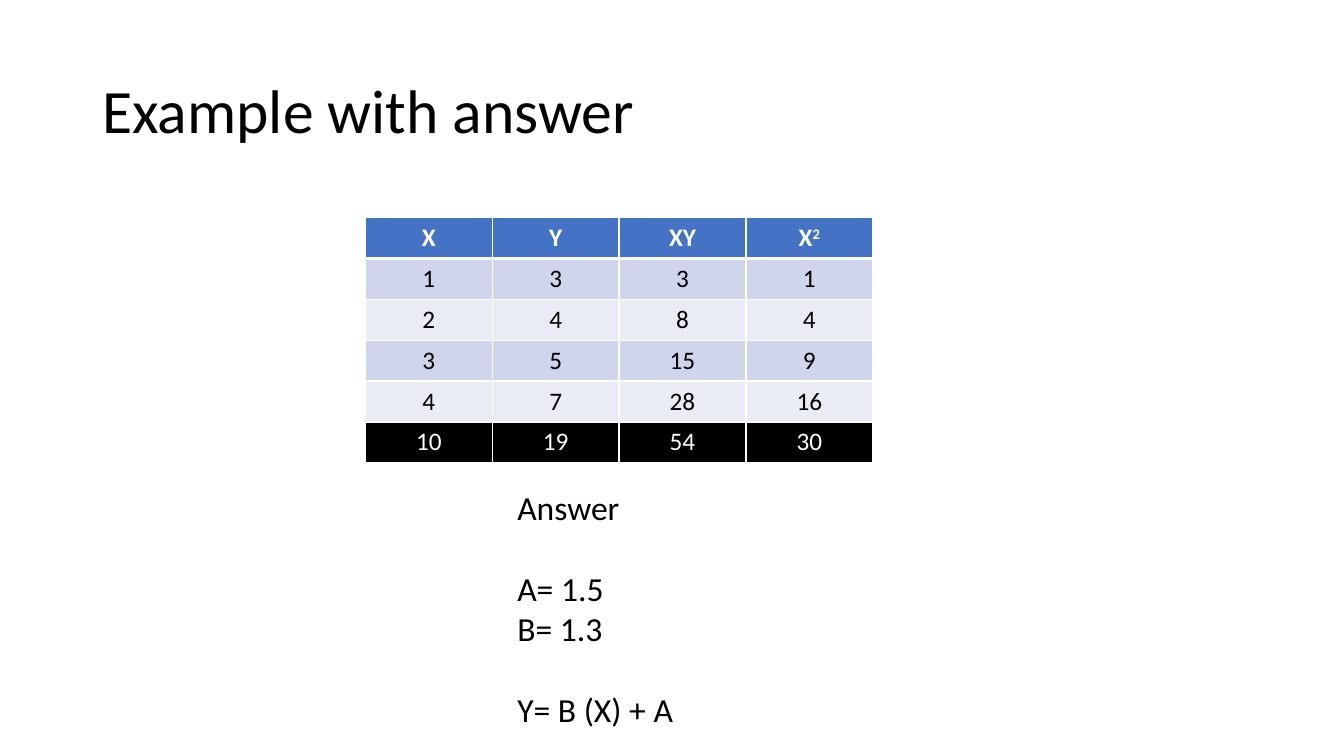
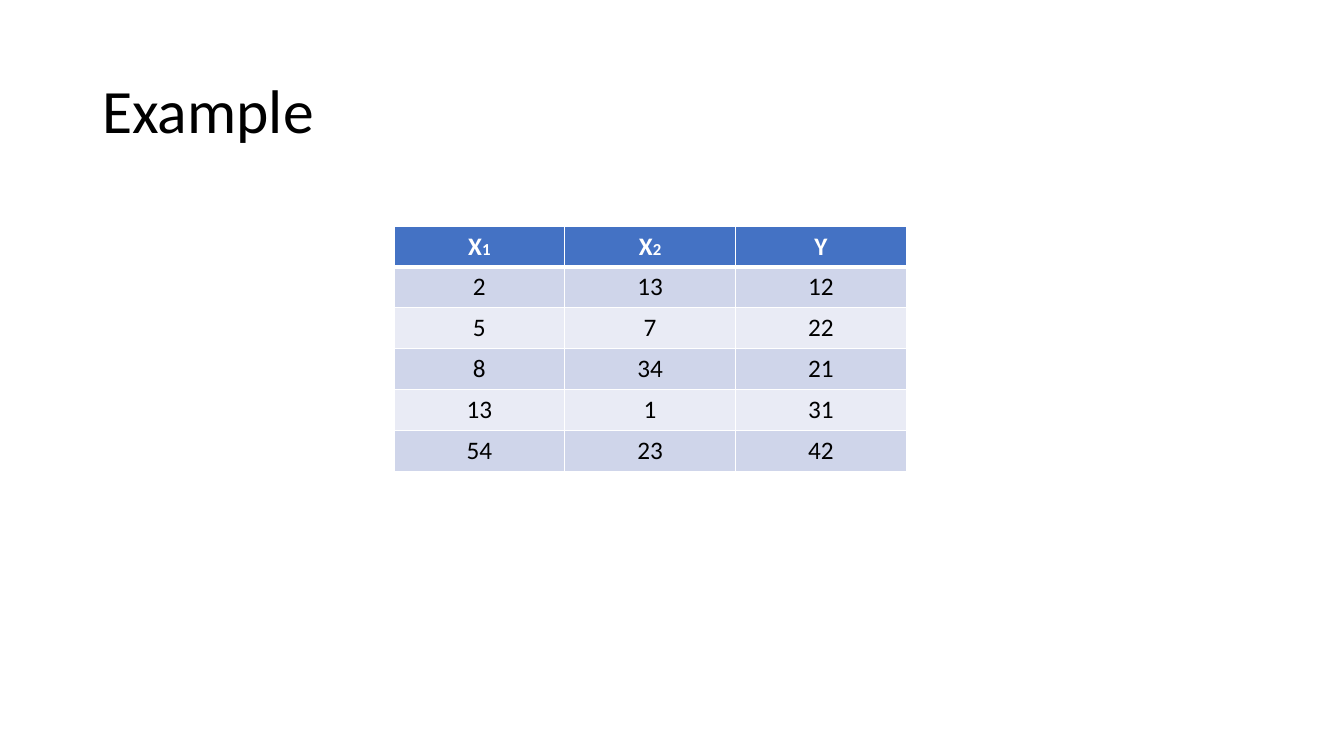
from itertools import product

from lxml import etree
from pptx import Presentation
from pptx import util as u
from pptx.dml.color import RGBColor
from pptx.enum import text
from pptx.oxml import ns

FONT = "Calibri"
COLORS = {
    "ink": "000000",
    "paper": "FFFFFF",
    "header": "4472C4",
    "odd_band": "CFD5EA",
    "even_band": "E9EBF5",
}
CELL = u.Inches(1 / 12)
COLUMNS, ROWS = 160, 90
TITLE_BOX = (11, 4.8, 138, 17.4)
LINE = 29


def grid(*lengths):
    """Turn grid units into slide lengths."""
    return [round(CELL * length) for length in lengths]


def style(span, size, color="ink", bold=False):
    """Set the font of one run."""
    span.font.name = FONT
    span.font.size = u.Pt(size)
    span.font.bold = bold
    span.font.color.rgb = RGBColor.from_string(COLORS[color])


def add_text(page, box, lines, size, anchor=text.MSO_ANCHOR.TOP):
    """Add a text box of (line, blank lines before it) and return its frame."""
    frame = page.shapes.add_textbox(*grid(*box)).text_frame
    frame.word_wrap = True
    frame.vertical_anchor = anchor
    frame.text = "\n".join(line for line, _ in lines)
    for para, (_, gap) in zip(frame.paragraphs, lines):
        if gap:
            para.space_before = u.Pt(gap * LINE)
        style(para.runs[0], size)
    return frame


def add_page(deck, title):
    """Add a blank slide with the shared title."""
    page = deck.slides.add_slide(deck.slide_layouts[6])
    frame = add_text(page, TITLE_BOX, [(title, 0)], 44, text.MSO_ANCHOR.MIDDLE)
    frame.paragraphs[0].line_spacing = 0.9
    return page


def add_border(cell, side, points):
    """Draw one white edge of a table cell."""
    edge = etree.SubElement(cell._tc.get_or_add_tcPr(), ns.qn(f"a:ln{side}"),
                            w=str(u.Pt(points)))
    fill = etree.SubElement(edge, ns.qn("a:solidFill"))
    etree.SubElement(fill, ns.qn("a:srgbClr"), val=COLORS["paper"])


def row_colors(row, last, total):
    """Return the fill and text colours of a table row."""
    if row == 0:
        return "header", "paper"
    if total and row == last:
        return "ink", "paper"
    return ("odd_band" if row % 2 else "even_band"), "ink"


def add_data_table(page, box, headers, values, total=False, raised=False):
    """Add a banded table whose headers are (name, index) pairs."""
    rows = [headers] + [[(str(value), "") for value in row] for row in values]
    last = len(rows) - 1
    table = page.shapes.add_table(len(rows), len(headers), *grid(*box)).table
    table.horz_banding = False
    for row, column in product(range(len(rows)), range(len(headers))):
        cell = table.cell(row, column)
        name, index = rows[row][column]
        fill, color = row_colors(row, last, total)
        for side, heavy in (("L", False), ("R", False),
                            ("T", row == 1), ("B", row == 0)):
            add_border(cell, side, 3 if heavy else 1)
        cell.fill.solid()
        cell.fill.fore_color.rgb = RGBColor.from_string(COLORS[fill])
        para = cell.text_frame.paragraphs[0]
        para.text = name
        para.alignment = text.PP_ALIGN.CENTER
        style(para.runs[0], 18, color, row == 0)
        if index:
            span = para.add_run()
            span.text = index
            style(span, 18 if raised else 12, color, row == 0)
            if raised:
                span._r.get_or_add_rPr().set("baseline", "30000")


def build_answer(deck):
    """Build the worked example with its sums and answer."""
    page = add_page(deck, "Example with answer")
    points = [(1, 3), (2, 4), (3, 5), (4, 7)]
    values = [(x, y, x * y, x * x) for x, y in points]
    values.append([sum(column) for column in zip(*values)])
    headers = [("X", ""), ("Y", ""), ("XY", ""), ("X", "2")]
    add_data_table(page, (43.5, 25.9, 60.4, 29.2), headers, values,
                   total=True, raised=True)
    lines = [("Answer", 0), ("A= 1.5", 1), ("B= 1.3", 0), ("Y= B (X) + A", 1)]
    add_text(page, (60.4, 57.4, 37, 32), lines, 24)


def build_example(deck):
    """Build the example with two predictors."""
    page = add_page(deck, "Example")
    headers = [("X", "1"), ("X", "2"), ("Y", "")]
    values = [(2, 13, 12), (5, 7, 22), (8, 34, 21), (13, 1, 31), (54, 23, 42)]
    add_data_table(page, (46.9, 26.9, 61, 29.2), headers, values)


def main():
    """Build and save the deck."""
    deck = Presentation()
    deck.slide_width, deck.slide_height = grid(COLUMNS, ROWS)
    build_answer(deck)
    build_example(deck)
    deck.save("out.pptx")


if __name__ == "__main__":
    main()
